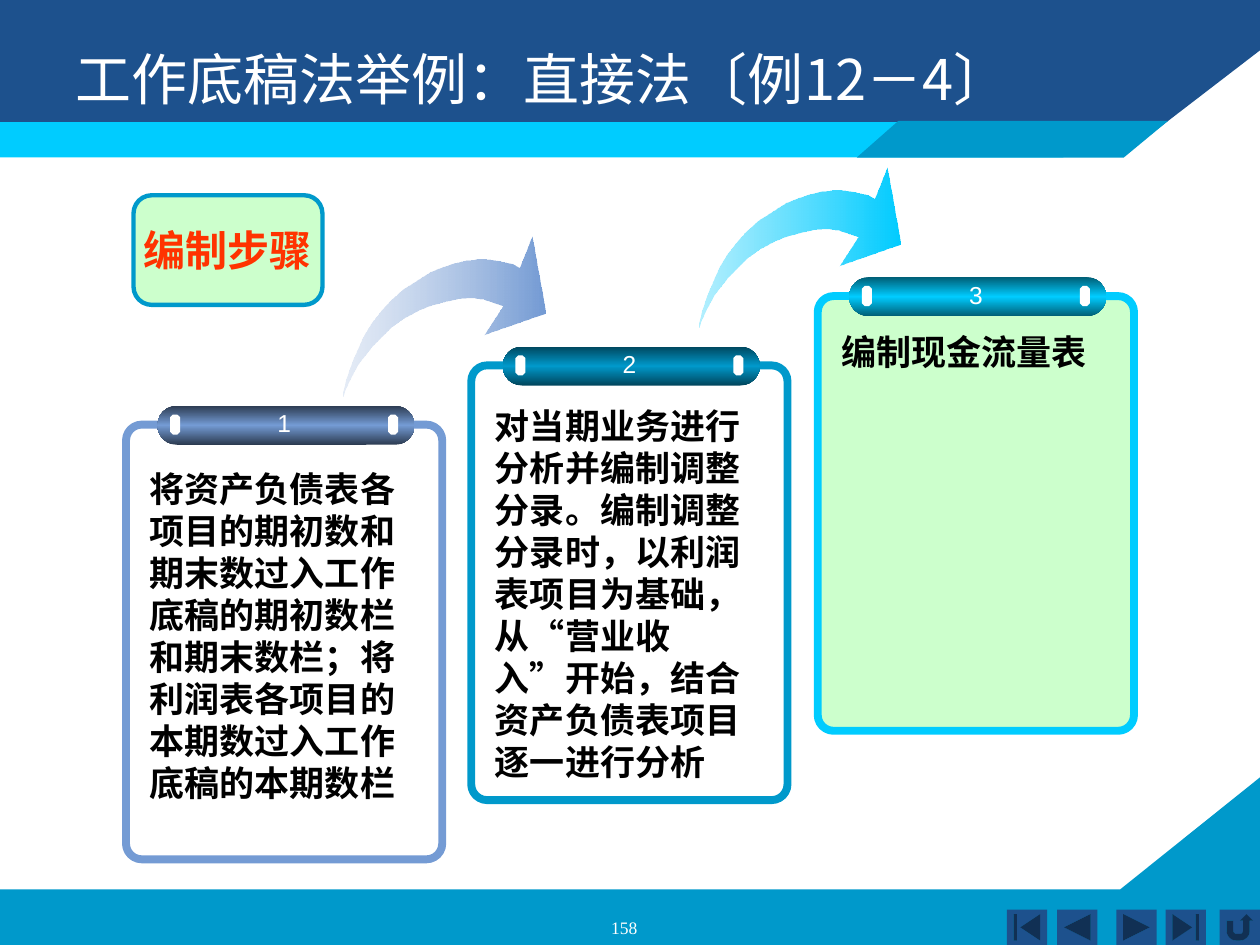
from lxml.etree import SubElement
from pptx import Presentation
from pptx.dml.color import RGBColor
from pptx.enum.lang import MSO_LANGUAGE_ID as Language
from pptx.enum.shapes import MSO_SHAPE as Shape
from pptx.enum.text import MSO_ANCHOR as Anchor, PP_ALIGN as Align
from pptx.oxml.ns import qn
from pptx.util import Inches, Pt

COLORS = {
    "navy": "1D518D", "blue": "0099CB", "cyan": "00CCFF", "steel": "749BD4",
    "dark_blue": "00465D", "dark_cyan": "005E75", "dark_steel": "2C3B51",
    "pale_cyan": "16CFFE", "pale_steel": "AEC4E5", "mint": "CCFFCC",
    "white": "FFFFFF", "black": "000000", "red": "FF3300",
}
CJK_FONT = "Noto Sans CJK SC"

# number, left, top, line colour, bar edge colour, fill, body top, body height, text
CARDS = [
    ("2", 3.74, 2.9, "blue", "dark_blue", None, 3.16, 3.1,
     "对当期业务进行分析并编制调整分录。编制调整分录时，以利润表项目为基础，"
     "从“营业收入”开始，结合资产负债表项目逐一进行分析"),
    ("3", 6.49, 2.35, "cyan", "dark_cyan", "mint", 2.57, 0.44, "编制现金流量表"),
    ("1", 1, 3.37, "steel", "dark_steel", None, 3.66, 2.77,
     "将资产负债表各项目的期初数和期末数过入工作底稿的期初数栏和期末数栏；"
     "将利润表各项目的本期数过入工作底稿的本期数栏"),
]

BUTTONS = [
    (7.99, Shape.ACTION_BUTTON_BEGINNING),
    (8.39, Shape.ACTION_BUTTON_BACK_OR_PREVIOUS),
    (8.86, Shape.ACTION_BUTTON_FORWARD_OR_NEXT),
    (9.25, Shape.ACTION_BUTTON_END),
    (9.68, Shape.ACTION_BUTTON_RETURN),
]

# Curved arrow outline, relative to its top left corner
ARROW = [
    (0, 1.27), (0.01, 1.23), (0.05, 1.14), (0.12, 1.01), (0.23, 0.87),
    (0.38, 0.72), (0.48, 0.65), (0.59, 0.59), (0.69, 0.55), (0.8, 0.52),
    (0.89, 0.5), (0.97, 0.49), (1.04, 0.49), (1.11, 0.5), (1.2, 0.53),
    (1.26, 0.55), (1.11, 0.78), (1.6, 0.61), (1.49, 0), (1.39, 0.25),
    (1.34, 0.22), (1.25, 0.2), (1.13, 0.18), (1.05, 0.18), (0.97, 0.19),
    (0.88, 0.21), (0.79, 0.24), (0.69, 0.28), (0.58, 0.35), (0.47, 0.42),
    (0.37, 0.51), (0.29, 0.6), (0.22, 0.69), (0.16, 0.79), (0.12, 0.88),
    (0.08, 0.97), (0.05, 1.05), (0.02, 1.14), (0, 1.23),
]


def rgb(name):
    return RGBColor.from_string(COLORS[name])


def paint(shape, fill=None, line=None, weight=1):
    shape.shadow.inherit = False
    if fill:
        shape.fill.solid()
        shape.fill.fore_color.rgb = rgb(fill)
    else:
        shape.fill.background()
    if line:
        shape.line.color.rgb = rgb(line)
        shape.line.width = Pt(weight)
    else:
        shape.line.fill.background()
    return shape


def paint_gradient(shape, stops, angle):
    """Fill with (position, colour, opacity) stops, all numbers in percent."""
    shape.fill.gradient()
    shape.fill.gradient_angle = angle
    stop_list = shape.element.spPr.find(".//" + qn("a:gsLst"))
    for old_stop in list(stop_list):
        stop_list.remove(old_stop)
    for position, color, opacity in stops:
        stop = SubElement(stop_list, qn("a:gs"), pos=str(position * 1000))
        value = SubElement(stop, qn("a:srgbClr"), val=COLORS[color])
        if opacity < 100:
            SubElement(value, qn("a:alpha"), val=str(opacity * 1000))


def add_block(page, kind, left, top, width, height, **style):
    shape = page.shapes.add_shape(
        kind, Inches(left), Inches(top), Inches(width), Inches(height))
    return paint(shape, **style)


def add_outline(page, points, fill, left=0, top=0):
    corners = [(Inches(left + x), Inches(top + y)) for x, y in points]
    builder = page.shapes.build_freeform(*corners[0], scale=1.0)
    builder.add_line_segments(corners[1:], close=True)
    return paint(builder.convert_to_shape(), fill)


def write(frame, text, size, color, font="Arial", bold=False,
          align=Align.LEFT, anchor=Anchor.TOP, wrap=True, spacing=None):
    frame.text = text
    frame.word_wrap = wrap
    frame.vertical_anchor = anchor
    para = frame.paragraphs[0]
    para.alignment = align
    if spacing:
        para.line_spacing = Pt(spacing)
    span = para.runs[0]
    span.font.size = Pt(size)
    span.font.bold = bold
    span.font.color.rgb = rgb(color)
    span.font.name = font
    span.font.language_id = Language.SIMPLIFIED_CHINESE
    SubElement(span.font._element, qn("a:ea"), typeface=CJK_FONT)


def add_text(page, left, top, width, height, text, size, color, **style):
    box = page.shapes.add_textbox(
        Inches(left), Inches(top), Inches(width), Inches(height))
    write(box.text_frame, text, size, color, **style)


def add_backdrop(page):
    add_outline(page, [(0, 7.06), (8.89, 7.06), (10, 6.17), (10, 7.5), (0, 7.5)], "blue")
    add_outline(page, [(0, 0), (10, 0), (10, 0.4), (8.92, 1.23), (0, 1.24)], "navy")
    add_block(page, Shape.RECTANGLE, 0, 0.97, 8.44, 0.28, fill="cyan")
    add_outline(page, [(6.8, 1.25), (8.92, 1.25), (9.27, 0.96), (7.13, 0.96)], "blue")
    for left, kind in BUTTONS:
        add_block(page, kind, left, 7.22, 0.32, 0.28, fill="navy")


def add_arrow(page, left, top, color, pale):
    arrow = add_outline(page, ARROW, color, left, top)
    paint_gradient(arrow, [(0, color, 100), (100, pale, 32)], 180)


def add_card(page, number, left, top, color, edge, fill, body_top, body_height, text):
    card = add_block(page, Shape.ROUNDED_RECTANGLE, left, top, 2.51, 3.45,
                     fill=fill, line=color, weight=4.5)
    card.adjustments[0] = 0.05
    bar = add_block(page, Shape.ROUNDED_RECTANGLE, left + 0.25, top - 0.15, 2.04, 0.31)
    bar.adjustments[0] = 0.5
    paint_gradient(bar, [(0, edge, 100), (50, color, 100), (100, edge, 100)], 270)
    for offset in (0.35, 2.08):
        peg = add_block(page, Shape.OCTAGON, left + offset, top - 0.08, 0.08, 0.16,
                        fill="white")
        peg.adjustments[0] = 0.29
    add_text(page, left + 1.1, top - 0.18, 0.31, 0.34, number, 14, "white",
             align=Align.CENTER, wrap=False)
    add_text(page, left + 0.09, body_top, 2.33, body_height, text, 20, "black",
             bold=True, spacing=24)


def add_title(page, text):
    title = page.shapes.title
    title.left, title.top = Inches(0.5), Inches(0.3)
    title.width, title.height = Inches(9), Inches(1.25)
    write(title.text_frame, text, 32, "white", font=CJK_FONT)
    page.shapes.element.append(title.element)  # in front of the bands


def add_badge(page, text):
    badge = add_block(page, Shape.ROUNDED_RECTANGLE, 1.06, 1.55, 1.5, 0.87,
                      fill="mint", line="blue", weight=2.5)
    write(badge.text_frame, text, 24, "red", bold=True, align=Align.CENTER,
          anchor=Anchor.MIDDLE, wrap=False)


def main():
    deck = Presentation()
    deck.slide_width, deck.slide_height = Inches(10), Inches(7.5)
    page = deck.slides.add_slide(deck.slide_layouts[5])
    add_backdrop(page)
    add_arrow(page, 5.55, 1.33, "cyan", "pale_cyan")
    add_arrow(page, 2.73, 1.88, "steel", "pale_steel")
    for card in CARDS:
        add_card(page, *card)
    add_title(page, "工作底稿法举例：直接法〔例12－4〕")
    add_badge(page, "编制步骤")
    add_text(page, 3.79, 7.23, 2.33, 0.18, "158", 10, "white",
             font="Times New Roman", align=Align.CENTER)
    deck.save("out.pptx")


if __name__ == "__main__":
    main()
